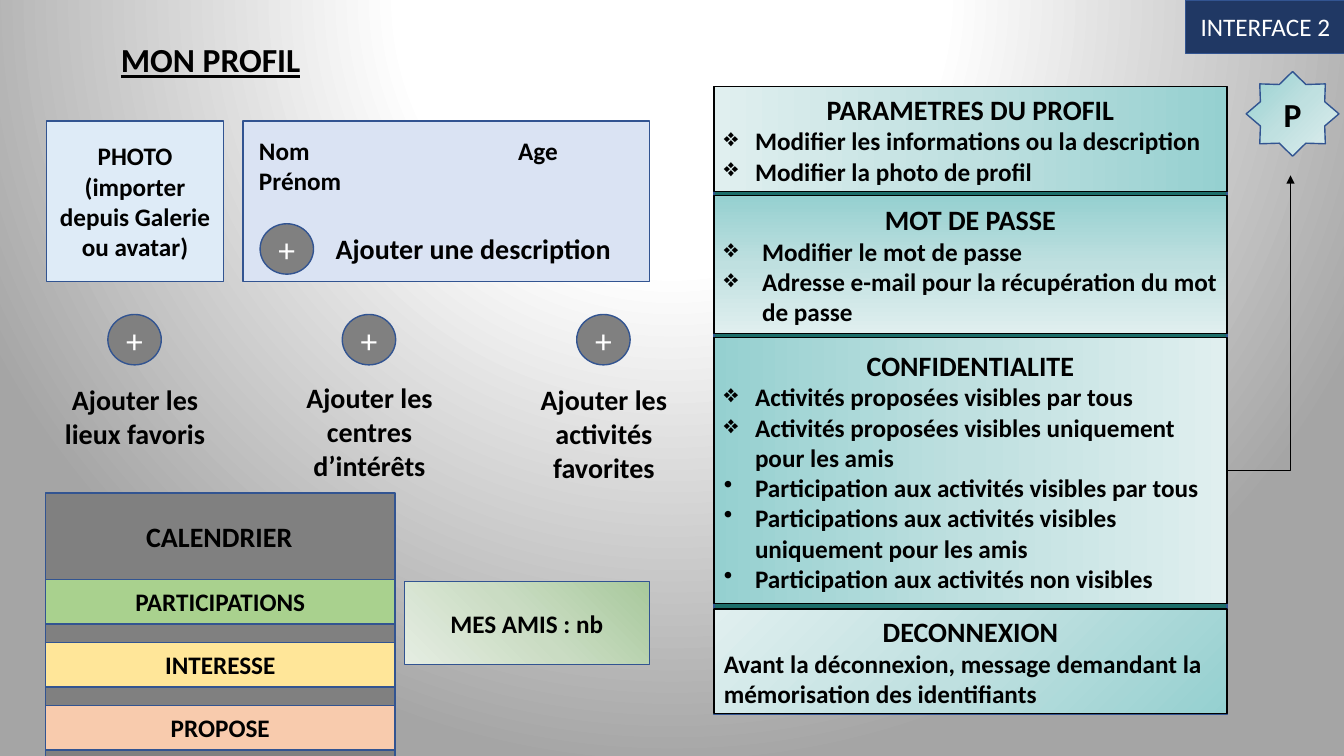
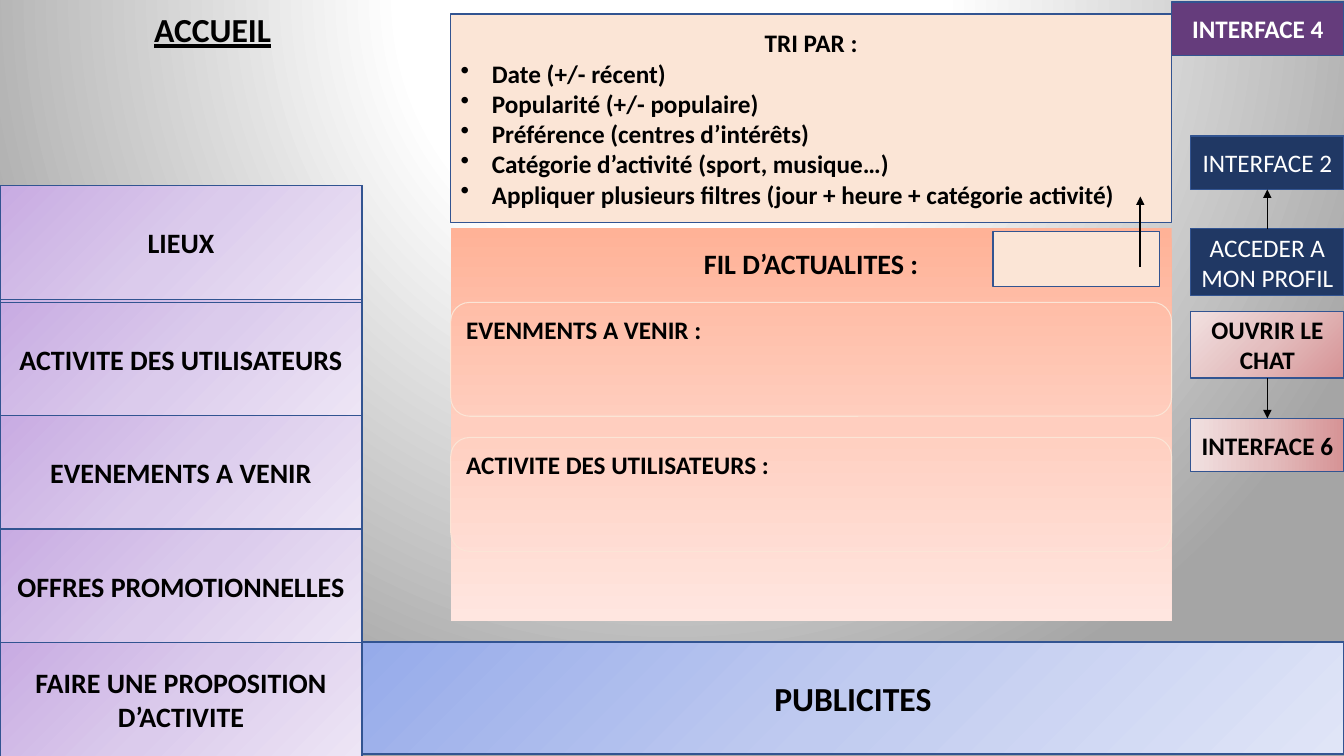
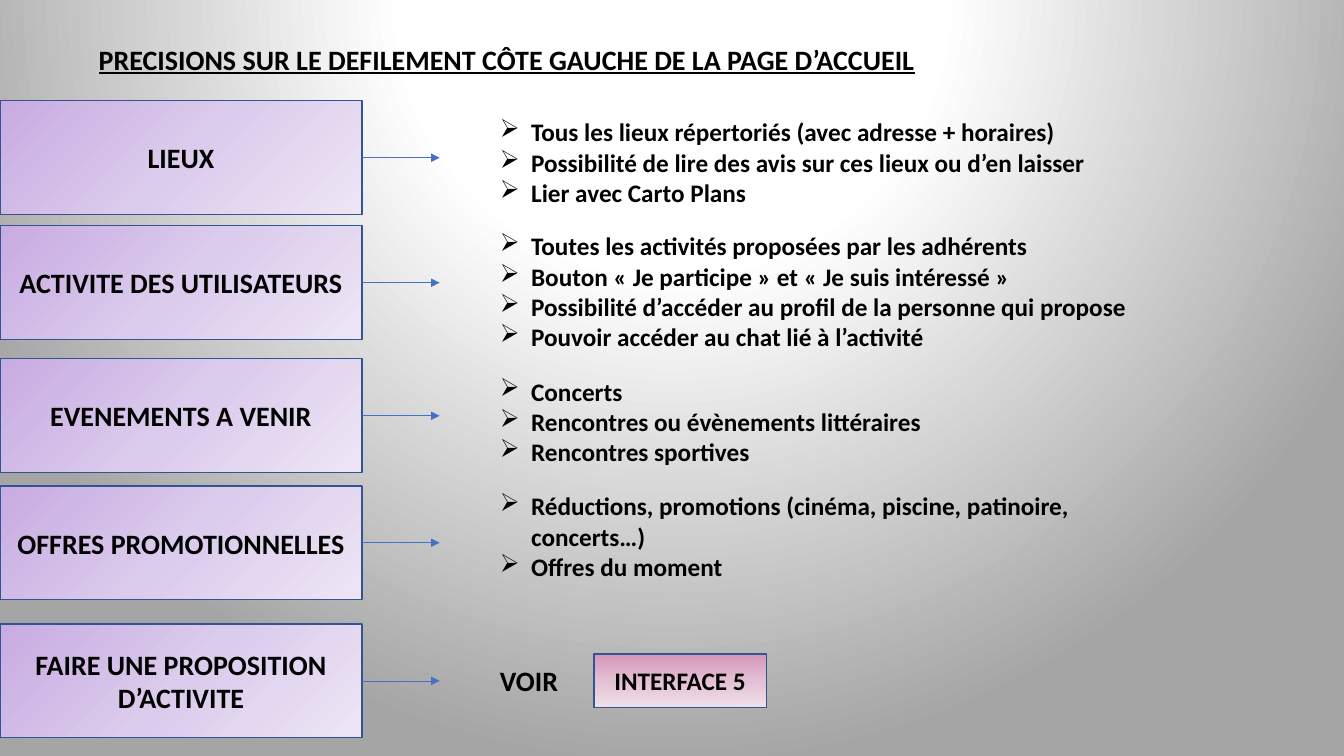
from pptx import Presentation
from pptx import util as u
from pptx.dml.color import RGBColor
from pptx.enum import shapes, text
from pptx.oxml import parse_xml
from pptx.oxml.ns import nsdecls, qn

Inches = u.Inches
SHAPE, CONNECTOR = shapes.MSO_SHAPE, shapes.MSO_CONNECTOR
ALIGN = {"l": text.PP_ALIGN.LEFT, "c": text.PP_ALIGN.CENTER}
FONT = "Calibri"
BLACK, WHITE = "000000", "FFFFFF"
NAVY, OUTLINE, GREY, PEACH, ARROW_BLUE = "203864", "325491", "808080", "FBE5D6", "4472C4"


def ramp(*colours, angle=None, focus=None, stops=(0, 50, 100)):
    """Gradient: linear at an angle, or circular towards a focus (l, t, r, b in percent)."""
    return {"stops": list(zip(stops, colours)), "angle": angle, "focus": focus}


TEAL = ("95D0D0", "BFE0E0", "E0EFEF")
LILAC = ("C8ABE2", "DBCBEC", "EDE5F5")
ROSE = ("D69395", "E4BEBF", "F1E0E0")
BACKDROP = ramp(WHITE, WHITE, "A5A5A5", focus=(50, -80, 50, 180), stops=(0, 35, 100))


def bullets(mark, *lines, indent=0.31):
    return [(line, dict(mark=mark, indent=indent, align="l", size=18)) for line in lines]


# Slide 1
ADDITIONS = [("Ajouter les lieux favoris", 3.75),
             ("Ajouter les centres d’intérêts", 3.73),
             ("Ajouter les activités favorites", 3.75)]
CALENDAR = [("PARTICIPATIONS", "A9D18E"), ("INTERESSE", "FFE699"), ("PROPOSE", "F8CBAD")]
SETTINGS = [  # top, height, gradient angle, paragraphs
    (0.86, 1.04, 180, ["PARAMETRES DU PROFIL",
                       *bullets("❖", "Modifier les informations ou la description",
                                "Modifier la photo de profil")]),
    (1.94, 1.37, 90, ["MOT DE PASSE",
                      *bullets("❖", "Modifier le mot de passe",
                               "Adresse e-mail pour la récupération du mot de passe",
                               indent=0.38)]),
    (3.35, 2.64, 0, ["CONFIDENTIALITE",
                     *bullets("❖", "Activités proposées visibles par tous",
                              "Activités proposées visibles uniquement pour les amis"),
                     *bullets("•", "Participation aux activités visibles par tous",
                              "Participations aux activités visibles uniquement pour les amis",
                              "Participation aux activités non visibles")]),
    (6.04, 1.04, 225, ["DECONNEXION",
                       ("Avant la déconnexion, message demandant la mémorisation des identifiants",
                        dict(align="l", size=18))]),
]

# Slides 2 and 3
MENU_WIDTH, MENU_HEIGHT = 3.59, 1.13
MENU = ["LIEUX", "ACTIVITE DES UTILISATEURS", "EVENEMENTS A VENIR",
        "OFFRES PROMOTIONNELLES", "FAIRE UNE PROPOSITION D’ACTIVITE"]
SORTING = ["TRI PAR :",
           *bullets("•", "Date (+/- récent)", "Popularité (+/- populaire)",
                    "Préférence (centres d’intérêts)",
                    "Catégorie d’activité (sport, musique…)",
                    "Appliquer plusieurs filtres (jour + heure + catégorie activité)")]
NEWS = [("EVENMENTS A VENIR :", 3), ("ACTIVITE DES UTILISATEURS :", 4.34)]
MENU_TOPS = [1, 2.24, 3.56, 4.82, 6.19]
DETAILS = [  # top, width, lines
    (1.11, 6.07, ["Tous les lieux répertoriés (avec adresse + horaires)",
                  "Possibilité de lire des avis sur ces lieux ou d’en laisser",
                  "Lier avec Carto Plans"]),
    (2.24, 6.53, ["Toutes les activités proposées par les adhérents",
                  "Bouton « Je participe » et « Je suis intéressé »",
                  "Possibilité d’accéder au profil de la personne qui propose",
                  "Pouvoir accéder au chat lié à l’activité"]),
    (3.68, 6.53, ["Concerts", "Rencontres ou évènements littéraires", "Rencontres sportives"]),
    (4.82, 6.53, ["Réductions, promotions (cinéma, piscine, patinoire, concerts…)",
                  "Offres du moment"]),
]


def rgb(colour):
    return RGBColor.from_string(colour)


def paint(fill, colour):
    """Fill with a hex colour, a ramp, or nothing."""
    if colour is None:
        fill.background()
    elif isinstance(colour, str):
        fill.solid()
        fill.fore_color.rgb = rgb(colour)
    else:
        fill.gradient()
        stops = "".join(f'<a:gs pos="{pos * 1000}"><a:srgbClr val="{c}"/></a:gs>'
                        for pos, c in colour["stops"])
        if colour["focus"]:
            sides = " ".join(f'{side}="{value * 1000}"'
                             for side, value in zip("ltrb", colour["focus"]))
            course = f'<a:path path="circle"><a:fillToRect {sides}/></a:path>'
        else:
            course = f'<a:lin ang="{colour["angle"] * 60000}" scaled="0"/>'
        parent = fill._xPr
        parent.replace(parent.find(qn("a:gradFill")), parse_xml(
            f'<a:gradFill {nsdecls("a")} rotWithShape="1"><a:gsLst>{stops}</a:gsLst>'
            f'{course}</a:gradFill>'))


def write(frame, content, size=18, colour=BLACK, bold=True, underline=False, align="c",
          mark=None, indent=0, tab=None):
    """Write a string or a list whose items are strings or (string, format changes)."""
    base = dict(size=size, colour=colour, bold=bold, underline=underline, align=align,
                mark=mark, indent=indent, tab=tab)
    for i, item in enumerate([content] if isinstance(content, str) else content):
        words, changes = (item, {}) if isinstance(item, str) else item
        look = {**base, **changes}
        paragraph = frame.paragraphs[0] if i == 0 else frame.add_paragraph()
        paragraph.alignment = ALIGN[look["align"]]
        run = paragraph.add_run()
        run.text = words
        font = run.font
        font.name, font.size = FONT, u.Pt(look["size"])
        font.bold, font.underline = look["bold"], look["underline"]
        font.color.rgb = rgb(look["colour"])
        props = paragraph._p.get_or_add_pPr()
        if look["mark"]:
            props.set("marL", str(Inches(look["indent"])))
            props.set("indent", str(-Inches(look["indent"])))
            props.append(parse_xml(f'<a:buChar {nsdecls("a")} char="{look["mark"]}"/>'))
        if look["tab"]:
            props.append(parse_xml(f'<a:tabLst {nsdecls("a")}>'
                                   f'<a:tab pos="{Inches(look["tab"])}" algn="l"/></a:tabLst>'))


def box(slide, at, content="", fill=None, line=OUTLINE, weight=1, kind=SHAPE.RECTANGLE, **look):
    shape = slide.shapes.add_shape(kind, *map(Inches, at))
    shape.shadow.inherit = False
    paint(shape.fill, fill)
    paint(shape.line.fill, line)
    if line:
        shape.line.width = u.Pt(weight)
    shape.text_frame.word_wrap = True
    shape.text_frame.vertical_anchor = text.MSO_ANCHOR.MIDDLE
    if content:
        write(shape.text_frame, content, **look)
    return shape


def label(slide, at, content, wrap=True, align="l", **look):
    frame = slide.shapes.add_textbox(*map(Inches, at)).text_frame
    frame.word_wrap = wrap
    write(frame, content, align=align, **look)


def arrow(slide, start, end, source=None, target=None, colour=BLACK, weight=0.5, bent=False):
    """Arrow between points; source and target are (shape, side) to join."""
    line = slide.shapes.add_connector(CONNECTOR.ELBOW if bent else CONNECTOR.STRAIGHT,
                                      *map(Inches, (*start, *end)))
    if source:
        line.begin_connect(*source)
    if target:
        line.end_connect(*target)
    line.line.color.rgb = rgb(colour)
    line.line.width = u.Pt(weight)
    props = line._element.spPr
    if bent:
        props.find(qn("a:prstGeom")).set("prst", "bentConnector2")
    props.find(qn("a:ln")).append(parse_xml(f'<a:tailEnd {nsdecls("a")} type="triangle"/>'))
    props.append(parse_xml(f'<a:effectLst {nsdecls("a")}/>'))


def plus_button(slide, left, top):
    box(slide, (left, top, 0.53, 0.5), "+", GREY, kind=SHAPE.FLOWCHART_CONNECTOR,
        size=24, colour=WHITE, bold=False)


def menu_button(slide, top, name):
    return box(slide, (0, top, MENU_WIDTH, MENU_HEIGHT), name, ramp(*LILAC, angle=45), size=20)


def build_profile(slide):
    box(slide, (11.76, 0, 1.58, 0.53), "INTERFACE 2", NAVY, colour=WHITE, bold=False)
    label(slide, (1.1, 0.34, 4.03, 0.5), "MON PROFIL", size=24, underline=True)
    box(slide, (0.46, 1.2, 1.76, 1.59), ["PHOTO", "(importer depuis Galerie ou avatar)"], "DEEBF7")
    box(slide, (2.41, 1.2, 4.03, 1.59), fill="DAE3F3")
    label(slide, (2.47, 1.29, 3.97, 0.71), ["Nom\tAge", "Prénom"], tab=2.57)
    plus_button(slide, 2.58, 2.22)
    label(slide, (3.23, 2.25, 3.55, 0.44), "Ajouter une description", size=20)
    for i, (caption, top) in enumerate(ADDITIONS):
        shift = 2.325 * i
        plus_button(slide, 1.07 + shift, 3.12)
        label(slide, (0.46 + shift, top, 1.76, 1.11), caption, size=20, align="c")

    box(slide, (0.45, 4.89, 3.47, 2.64), fill=GREY)
    label(slide, (0.64, 5.1, 3.07, 0.44), "CALENDRIER", size=20, align="c")
    for i, (status, colour) in enumerate(CALENDAR):
        box(slide, (0.45, 5.75 + 0.625 * i, 3.47, 0.44), status, colour)
    box(slide, (4.01, 5.77, 2.43, 0.82), "MES AMIS : nb",
        ramp("A8C99C", "CADCC3", "E5EDE2", angle=135))

    box(slide, (12.36, 0.71, 0.92, 0.84), "P", ramp(*TEAL, angle=45),
        kind=SHAPE.STAR_8_POINT, size=24)
    box(slide, (7.08, 0.86, 5.09, 6.23), fill="1C6E6A")
    panels = [box(slide, (7.08, top, 5.09, height), content, ramp(*TEAL, angle=angle),
                  line=BLACK, size=20)
              for top, height, angle, content in SETTINGS]
    arrow(slide, (12.17, 4.67), (12.8, 1.74), source=(panels[2], 3), bent=True)


def build_home(slide):
    box(slide, (11.62, 0.02, 1.71, 0.53), "INTERFACE 4", "653C7C", colour=WHITE)
    label(slide, (1.43, 0.04, 1.37, 0.5), "ACCUEIL", wrap=False, size=24, underline=True)
    box(slide, (0, 1.84, MENU_WIDTH, 5.66), fill=ramp(*LILAC, focus=(0, 0, 100, 100)))
    for i, name in enumerate(MENU):
        menu_button(slide, 3 + 1.125 * (i - 1) if i else 1.84, name)
    box(slide, (3.59, 6.37, 9.74, 1.11), "PUBLICITES",
        ramp("96ABEA", "C0CBF0", "E0E5F7", angle=45), size=24)

    box(slide, (4.47, 2.26, 7.15, 3.9), fill=ramp("FFB297", "FFCEBF", "FFE6E0", angle=90),
        line=None)
    label(slide, (6.25, 2.4, 3.59, 0.44), "FIL D’ACTUALITES :", size=20, align="c")
    for heading, top in NEWS:
        frame = box(slide, (4.47, top, 7.15, 1.13), heading, line=PEACH, weight=0.75,
                    kind=SHAPE.ROUNDED_RECTANGLE, align="l").text_frame
        frame.vertical_anchor = text.MSO_ANCHOR.TOP
        frame.margin_top = Inches(0.06)
    box(slide, (4.47, 0.14, 7.15, 2.07), SORTING, PEACH)
    box(slide, (9.85, 2.3, 1.65, 0.54), fill=PEACH)
    arrow(slide, (11.31, 2.65), (11.31, 1.95), weight=1.5)

    left, width = 11.81, 1.52
    middle = left + width / 2
    navy = dict(fill=NAVY, colour=WHITE, bold=False)
    profile_page = box(slide, (left, 1.35, width, 0.53), "INTERFACE 2", **navy)
    profile = box(slide, (left, 2.27, width, 0.66), "ACCEDER A MON PROFIL", **navy)
    chat = box(slide, (left, 3.09, width, 0.66), "OUVRIR LE CHAT",
               ramp(*ROSE, focus=(100, 100, 0, 0)))
    chat_page = box(slide, (left, 4.15, width, 0.53), "INTERFACE 6", ramp(*ROSE, angle=180))
    arrow(slide, (middle, 2.27), (middle, 1.88), (profile, 0), (profile_page, 2))
    arrow(slide, (middle, 3.75), (middle, 4.15), (chat, 2), (chat_page, 0))


def build_menu_details(slide):
    label(slide, (0.88, 0.37, 8.58, 0.44),
          "PRECISIONS SUR LE DEFILEMENT CÔTE GAUCHE DE LA PAGE D’ACCUEIL",
          size=20, underline=True)
    for name, top in zip(MENU, MENU_TOPS):
        button = menu_button(slide, top, name)
        middle = top + MENU_HEIGHT / 2
        arrow(slide, (MENU_WIDTH, middle), (4.36, middle), (button, 3), colour=ARROW_BLUE)
    for top, width, lines in DETAILS:
        label(slide, (4.86, top, width, 0.1 + 0.3 * len(lines)), bullets("➢", *lines))
    label(slide, (4.86, 6.53, 0.86, 0.44), "VOIR", size=20)
    box(slide, (5.89, 6.49, 1.71, 0.53), "INTERFACE 5",
        ramp("D495BA", "E3C0D4", "F1E0E9", angle=90))


def main():
    deck = Presentation()
    deck.slide_width, deck.slide_height = Inches(13.33), Inches(7.5)
    paint(deck.slide_master.background.fill, BACKDROP)
    for build in (build_profile, build_home, build_menu_details):
        build(deck.slides.add_slide(deck.slide_layouts[6]))
    deck.save("out.pptx")


if __name__ == "__main__":
    main()
